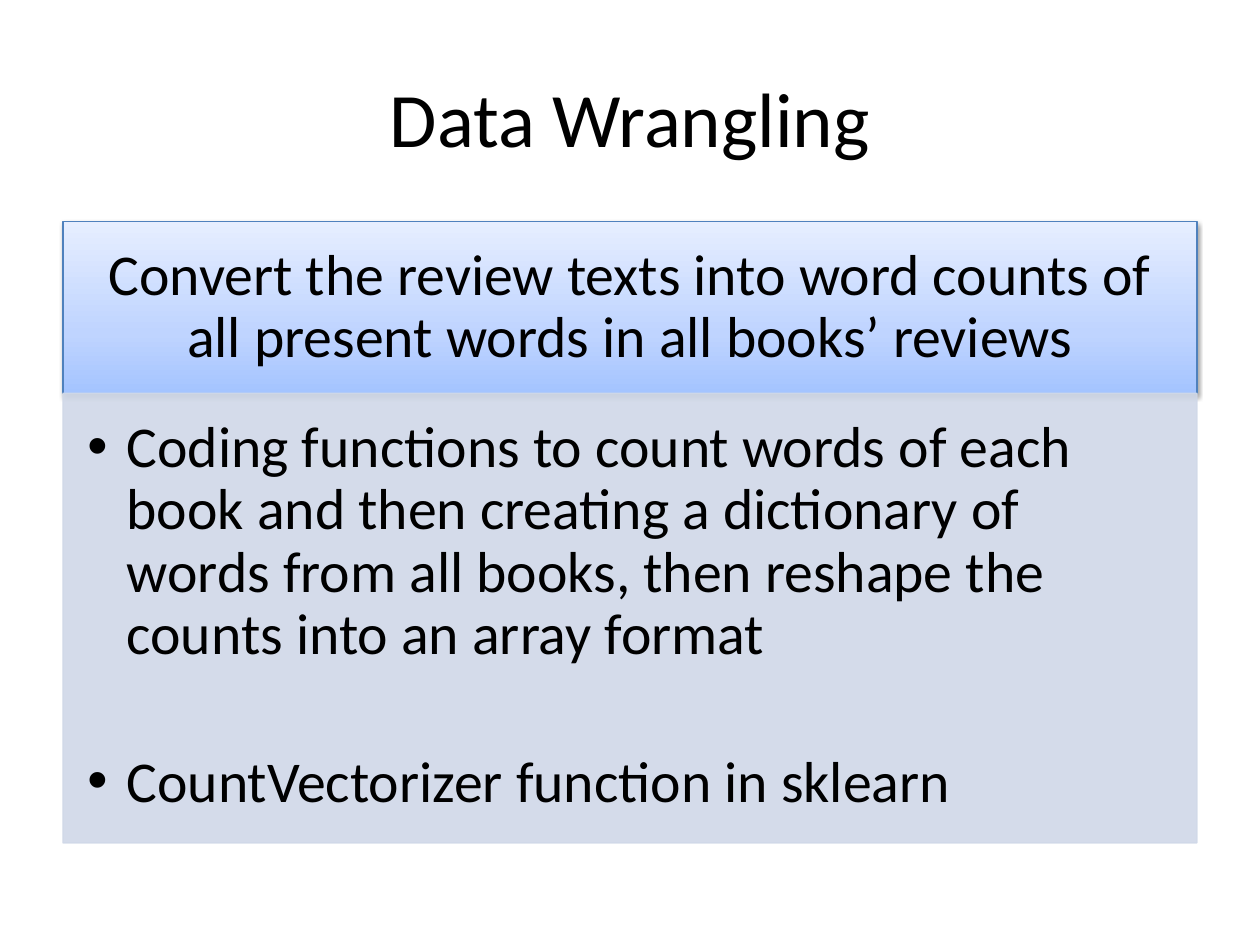
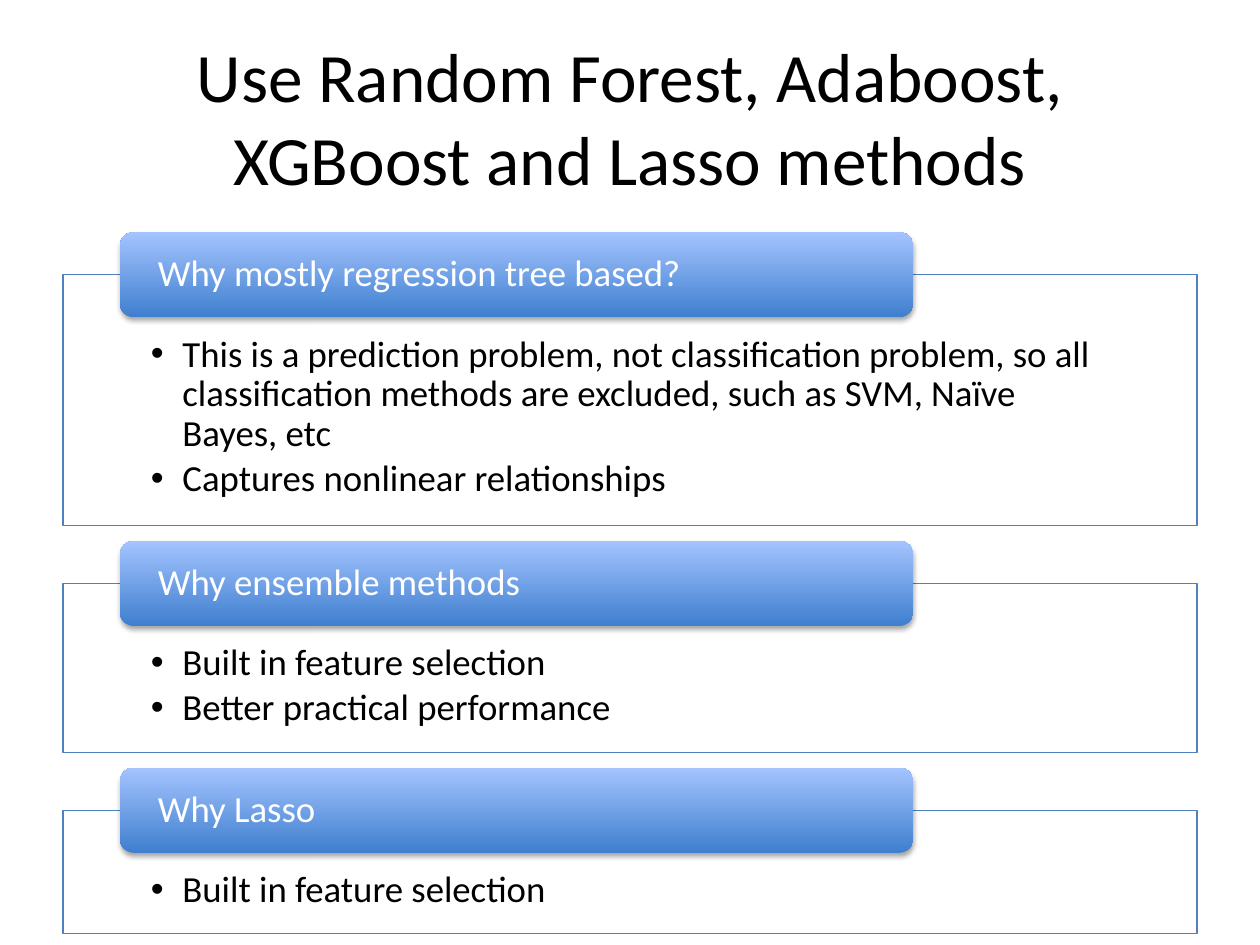
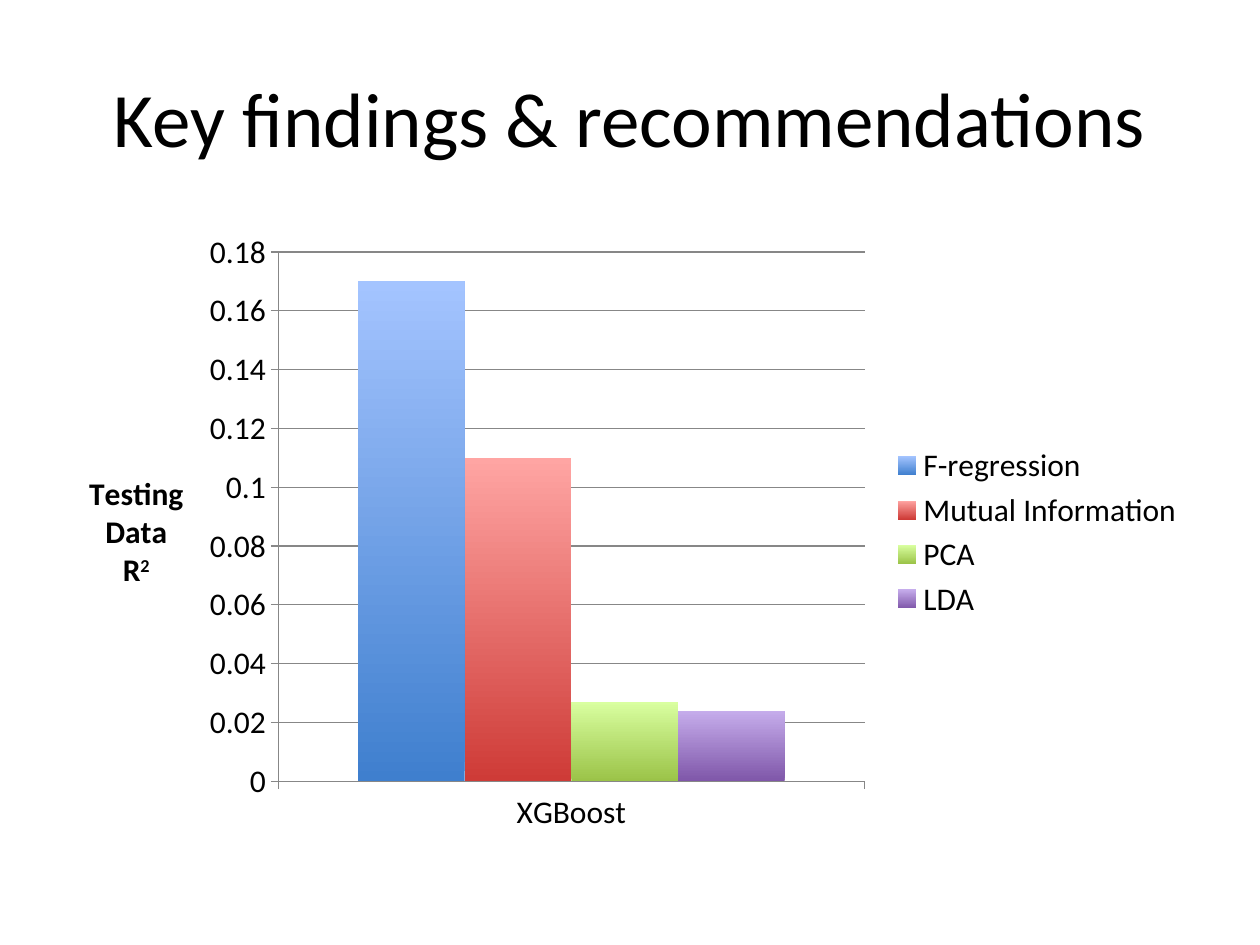
import pptx
import pptx.chart.data
import pptx.dml.color
import pptx.enum.chart
import pptx.enum.shapes
import pptx.enum.text
import pptx.oxml.ns
import pptx.util
from lxml import etree

Pt = pptx.util.Pt
qn = pptx.oxml.ns.qn
ALIGN = pptx.enum.text.PP_ALIGN
ANCHOR = pptx.enum.text.MSO_ANCHOR
SHAPE = pptx.enum.shapes.MSO_SHAPE

FONT = "Calibri"
COLORS = {
    "text": "000000",
    "white": "FFFFFF",
    "accent": "4F81BD",
    "panel": "D0D8E8",
    "axis": "878787",
}
PALE_BLUE = [(0, "A4C4FF"), (35, "BFD4FF"), (100, "E6EEFF")]
STRONG_BLUE = [(0, "3F7FCE"), (100, "A4C4FF")]
LEFT, WIDTH = 36, 648


def rgb(name):
    return pptx.dml.color.RGBColor.from_string(COLORS[name])


def add_xml(parent, tag, **attributes):
    return etree.SubElement(parent, qn(tag), attributes)


class Deck:
    def __init__(self):
        self.presentation = pptx.Presentation()
        self.presentation.slide_width = Pt(720)
        self.presentation.slide_height = Pt(540)
        self.slide = None

    def start_slide(self, title, size=44):
        self.slide = self.presentation.slides.add_slide(self.presentation.slide_layouts[5])
        heading = self.slide.shapes.title
        heading.left, heading.top = Pt(LEFT), Pt(21.6)
        heading.width, heading.height = Pt(WIDTH), Pt(90)
        frame = heading.text_frame
        frame.word_wrap = True
        frame.auto_size = pptx.enum.text.MSO_AUTO_SIZE.NONE
        frame.vertical_anchor = ANCHOR.MIDDLE
        self.add_text(frame.paragraphs[0], title, size, align=ALIGN.CENTER)

    def add_text(self, paragraph, text, size, color="text", align=ALIGN.LEFT, bold=False):
        paragraph.alignment = align
        run = paragraph.add_run()
        run.text = text
        run.font.name = FONT
        run.font.size = Pt(size)
        run.font.bold = bold
        run.font.color.rgb = rgb(color)
        return run

    def gradient(self, fill, properties, stops):
        fill.gradient()
        fill.gradient_angle = 90
        stop_list = properties.find(qn("a:gradFill")).find(qn("a:gsLst"))
        for stop in list(stop_list):
            stop_list.remove(stop)
        for position, color in stops:
            stop = add_xml(stop_list, "a:gs", pos=str(position * 1000))
            add_xml(stop, "a:srgbClr", val=color)

    def box(self, kind, place, insets, anchor, line):
        shape = self.slide.shapes.add_shape(kind, *map(Pt, place))
        shape.shadow.inherit = False
        if line:
            shape.line.color.rgb = rgb(line)
            shape.line.width = Pt(0.75)
        else:
            shape.line.fill.background()
        frame = shape.text_frame
        frame.word_wrap = True
        frame.vertical_anchor = anchor
        (frame.margin_left, frame.margin_top,
         frame.margin_right, frame.margin_bottom) = map(Pt, insets)
        return shape

    def header(self, kind, place, text, size, stops, insets, line=None,
               color="text", align=ALIGN.LEFT, shadow=(35, 1.8)):
        shape = self.box(kind, place, insets, ANCHOR.MIDDLE, line)
        properties = shape._element.spPr
        self.gradient(shape.fill, properties, stops)
        opacity, distance = shadow
        outer = add_xml(properties.find(qn("a:effectLst")), "a:outerShdw",
                        blurRad=str(Pt(3.1)), dist=str(Pt(distance)),
                        dir="5400000", rotWithShape="0")
        shade = add_xml(outer, "a:srgbClr", val=COLORS["text"])
        add_xml(shade, "a:alpha", val=str(opacity * 1000))
        paragraph = shape.text_frame.paragraphs[0]
        paragraph.line_spacing = 0.9
        self.add_text(paragraph, text, size, color, align)

    def panel(self, place, bullets, size, indent, insets, fill, line):
        shape = self.box(SHAPE.RECTANGLE, place, insets, ANCHOR.TOP, line)
        shape.fill.solid()
        shape.fill.fore_color.rgb = rgb(fill)
        for color in shape._element.spPr.iter(qn("a:srgbClr")):
            if color.get("val") == COLORS[fill]:
                add_xml(color, "a:alpha", val="90000")
        frame = shape.text_frame
        for index, (text, spacing) in enumerate(bullets):
            paragraph = frame.add_paragraph() if index else frame.paragraphs[0]
            paragraph.line_spacing = spacing
            paragraph.space_after = Pt(round(size * 0.15, 1))
            self.add_text(paragraph, text, size)
            layout = paragraph._p.get_or_add_pPr()
            layout.set("marL", str(Pt(indent)))
            layout.set("indent", str(-Pt(indent)))
            add_xml(layout, "a:buFont", typeface="Arial")
            add_xml(layout, "a:buChar", char="•")

    def column_chart(self, place, category, columns, axis_words):
        data = pptx.chart.data.CategoryChartData()
        data.categories = [category]
        for name, value, _ in columns:
            data.add_series(name, [value])
        chart = self.slide.shapes.add_chart(
            pptx.enum.chart.XL_CHART_TYPE.COLUMN_CLUSTERED, *map(Pt, place), data).chart
        chart.has_title = False
        chart.font.name = FONT
        chart.font.size = Pt(18)
        chart.font.color.rgb = rgb("text")
        chart.has_legend = True
        chart.legend.position = pptx.enum.chart.XL_LEGEND_POSITION.RIGHT
        chart.legend.include_in_layout = False
        plot = chart.plots[0]
        plot.gap_width = 150
        plot.vary_by_categories = False
        for series, (_, _, stops) in zip(plot.series, columns):
            self.gradient(series.format.fill, series._element.spPr, stops)
        scores = chart.value_axis
        scores.minimum_scale, scores.maximum_scale, scores.major_unit = 0, 0.18, 0.02
        scores.has_major_gridlines = True
        for ruled in (scores, chart.category_axis, scores.major_gridlines):
            ruled.format.line.color.rgb = rgb("axis")
            ruled.format.line.width = Pt(0.75)
        for axis in (scores, chart.category_axis):
            axis.major_tick_mark = pptx.enum.chart.XL_TICK_MARK.OUTSIDE
        frame = scores.axis_title.text_frame
        frame._txBody.bodyPr.set("rot", "0")
        frame._txBody.bodyPr.set("vert", "horz")
        for index, word in enumerate(axis_words):
            paragraph = frame.add_paragraph() if index else frame.paragraphs[0]
            self.add_text(paragraph, word, 18, align=ALIGN.CENTER, bold=True)
        square = self.add_text(paragraph, "2", 18, align=ALIGN.CENTER, bold=True)
        square.font._element.set("baseline", "30000")


def wrangling_slide(deck):
    deck.start_slide("Data Wrangling")
    deck.header(SHAPE.RECTANGLE, (LEFT, 126.7, WIDTH, 98),
                "Convert the review texts into word counts of all present words in all books’ reviews",
                33, PALE_BLUE, (18.5, 10.6, 18.5, 10.6), line="accent",
                align=ALIGN.CENTER, shadow=(38, 1.6))
    steps = [
        ("Coding functions to count words of each book and then creating a dictionary of words "
         "from all books, then reshape the counts into an array format", 0.9),
        ("CountVectorizer function in sklearn", 2),
    ]
    deck.panel((LEFT, 224.7, WIDTH, 257), steps, 33, 22.5,
               (13.9, 13.9, 18.5, 20.8), "panel", "panel")


def methods_slide(deck):
    deck.start_slide("Use Random Forest, Adaboost, XGBoost and Lasso methods", 39.6)
    reasons = [
        ("Why mostly regression tree based?", 143.3,
         ["This is a prediction problem, not classification problem, so all classification "
          "methods are excluded, such as SVM, Naïve Bayes, etc",
          "Captures nonlinear relationships"]),
        ("Why ensemble methods", 96.5,
         ["Built in feature selection", "Better practical performance"]),
        ("Why Lasso", 70.6, ["Built in feature selection"]),
    ]
    top, gap, tab_height = 157, 33.1, 48.7
    for question, height, answers in reasons:
        deck.panel((LEFT, top, WIDTH, height), [(answer, 0.9) for answer in answers],
                   21, 18, (50.3, 34.7, 50.3, 11.8), "white", "accent")
        deck.header(SHAPE.ROUNDED_RECTANGLE, (68.4, top - tab_height / 2, WIDTH * 0.7, tab_height),
                    question, 21, STRONG_BLUE, (19.5, 0, 19.5, 0), color="white")
        top += height + gap


def findings_slide(deck):
    deck.start_slide("Key findings & recommendations")
    selections = [
        ("F-regression", 0.17, STRONG_BLUE),
        ("Mutual Information", 0.11, [(0, "CE3B37"), (100, "FFA5A3")]),
        ("PCA", 0.027, [(0, "9BC348"), (100, "D9FFA0")]),
        ("LDA", 0.024, [(0, "7F57A9"), (100, "C6ADEC")]),
    ]
    deck.column_chart((LEFT, 126, WIDTH, 356.4), "XGBoost", selections,
                      ["Testing", "Data", "R"])


def main():
    deck = Deck()
    wrangling_slide(deck)
    methods_slide(deck)
    findings_slide(deck)
    deck.presentation.save("out.pptx")


if __name__ == "__main__":
    main()
